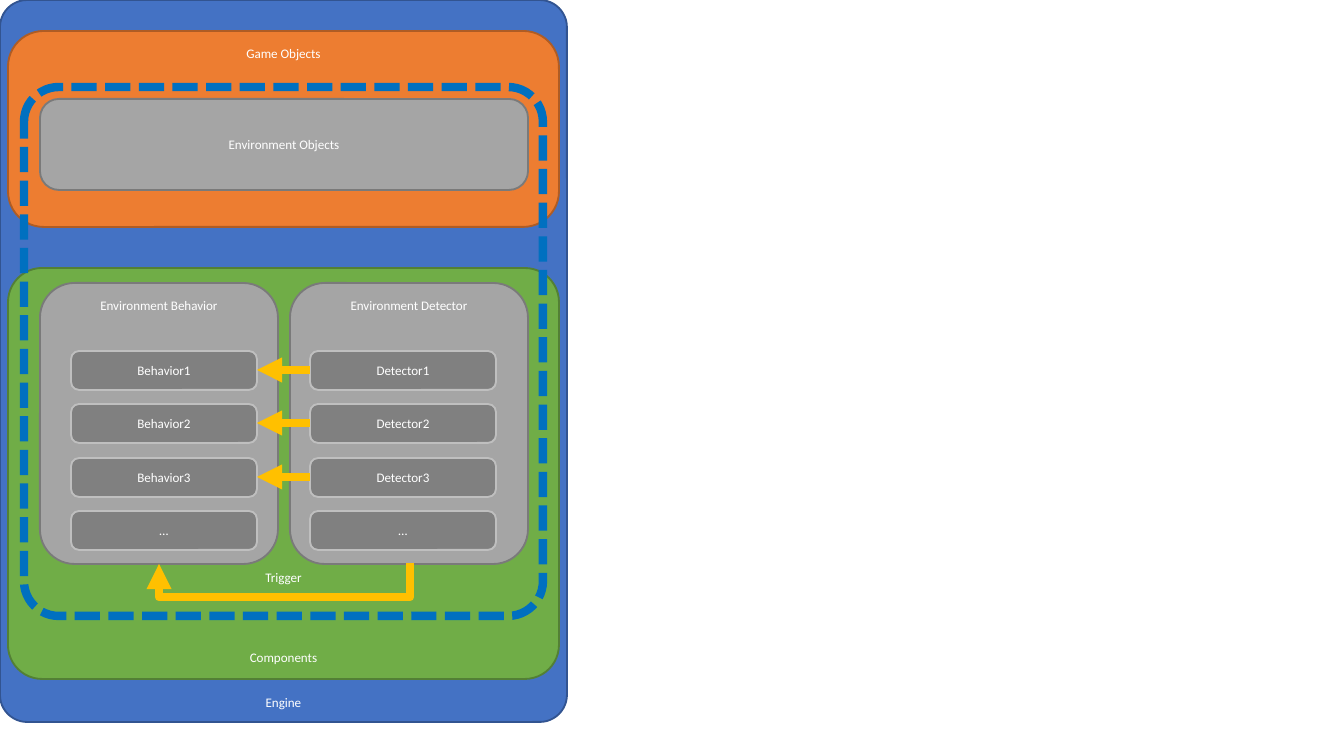
from lxml import etree
from pptx import Presentation
from pptx.dml.color import RGBColor
from pptx.enum.dml import MSO_LINE
from pptx.enum.shapes import MSO_CONNECTOR, MSO_SHAPE
from pptx.enum.text import MSO_ANCHOR, PP_ALIGN
from pptx.oxml.ns import qn
from pptx.util import Pt

EMU_PER_PX = 914400 / 134.4
WHITE = RGBColor(0xFF, 0xFF, 0xFF)
BLUE, BLUE_EDGE = RGBColor(0x44, 0x72, 0xC4), RGBColor(0x32, 0x54, 0x91)
ORANGE, ORANGE_EDGE = RGBColor(0xED, 0x7D, 0x31), RGBColor(0xAF, 0x5C, 0x24)
GREEN, GREEN_EDGE = RGBColor(0x70, 0xAD, 0x47), RGBColor(0x53, 0x80, 0x35)
GRAY, GRAY_EDGE = RGBColor(0xA5, 0xA5, 0xA5), RGBColor(0x7A, 0x7A, 0x7A)
DARK, DARK_EDGE = RGBColor(0x80, 0x80, 0x80), RGBColor(0xBF, 0xBF, 0xBF)
AMBER = RGBColor(0xFF, 0xC0, 0x00)
DASH_BLUE = RGBColor(0x00, 0x70, 0xC0)
ITEM_W, ITEM_H, ITEM_TOP, ITEM_COUNT = 186, 39, 68, 4


def px(value):
    """Turn picture pixels into EMU."""
    return round(value * EMU_PER_PX)


def write(shape, text, anchor):
    """Put one centred white line of text in a shape."""
    frame = shape.text_frame
    frame.word_wrap = True
    frame.vertical_anchor = anchor
    paragraph = frame.paragraphs[0]
    paragraph.alignment = PP_ALIGN.CENTER
    run = paragraph.add_run()
    run.text = text
    run.font.size = Pt(7)
    run.font.name = "Calibri"
    run.font.color.rgb = WHITE


def rounded(slide, box, radius, edge, weight=1):
    """Add an unfilled rounded rectangle."""
    shape = slide.shapes.add_shape(MSO_SHAPE.ROUNDED_RECTANGLE, *map(px, box))
    shape.adjustments[0] = radius
    shape.shadow.inherit = False
    shape.fill.background()
    shape.line.color.rgb = edge
    shape.line.width = Pt(weight)
    return shape


def block(slide, box, radius, colors, text, anchor=MSO_ANCHOR.MIDDLE):
    """Add a filled rounded rectangle with a label."""
    fill, edge = colors
    shape = rounded(slide, box, radius, edge)
    shape.fill.solid()
    shape.fill.fore_color.rgb = fill
    frame = shape.text_frame
    frame.margin_left = frame.margin_right = px(8)
    frame.margin_top = frame.margin_bottom = px(4)
    write(shape, text, anchor)


def arrow(slide, kind, start, end):
    """Add a thick amber connector with an arrowhead at its end."""
    connector = slide.shapes.add_connector(kind, *map(px, (*start, *end)))
    connector.line.color.rgb = AMBER
    connector.line.width = Pt(4.5)
    line = connector.line._get_or_add_ln()
    etree.SubElement(line, qn("a:tailEnd"), type="triangle")
    etree.SubElement(connector._element.spPr, qn("a:effectLst"))
    return connector


def item_top(index):
    """Give the top of an item relative to its panel."""
    return ITEM_TOP + index * 107 // 2


def panel(slide, box, inset, title, item_name):
    """Add a grey panel with its column of items."""
    left, top, _, _ = box
    block(slide, box, 0.146, (GRAY, GRAY_EDGE), title, MSO_ANCHOR.TOP)
    for index in range(ITEM_COUNT):
        text = f"{item_name}{index + 1}" if index < ITEM_COUNT - 1 else "…"
        item = (left + inset, top + item_top(index), ITEM_W, ITEM_H)
        block(slide, item, 0.208, (DARK, DARK_EDGE), text)


def trigger(slide, box):
    """Add the bent arrow running under the panels, and its label."""
    left, top, width, drop = box
    middle = left + width // 2
    bent = arrow(slide, MSO_CONNECTOR.ELBOW, (middle, top - width // 2),
                 (middle + 1, top - width // 2 + width))
    bent._element.spPr.find(qn("a:xfrm")).set("rot", "5400000")
    guides = bent._element.spPr.find(qn("a:prstGeom")).find(qn("a:avLst"))
    etree.SubElement(guides, qn("a:gd"), name="adj1", fmla=f"val {drop * 100000}")
    label = slide.shapes.add_textbox(*map(px, (middle - 57, top, 113, 30)))
    write(label, "Trigger", MSO_ANCHOR.TOP)


def architecture(slide, box):
    """Draw the whole layered diagram inside a box."""
    x, y, width, height = box
    inner_w = width - 16
    block(slide, box, 0.048, (BLUE, BLUE_EDGE), "Engine", MSO_ANCHOR.BOTTOM)
    block(slide, (x + 8, y + 31, inner_w, 196), 0.182,
          (ORANGE, ORANGE_EDGE), "Game Objects", MSO_ANCHOR.TOP)
    block(slide, (x + 8, y + 268, inner_w, 411), 0.083,
          (GREEN, GREEN_EDGE), "Components", MSO_ANCHOR.BOTTOM)
    block(slide, (x + 40, y + 99, 488, 91), 0.208,
          (GRAY, GRAY_EDGE), "Environment Objects")
    panel_top = y + 283
    panel(slide, (x + 40, panel_top, 238, 281), 31, "Environment Behavior", "Behavior")
    panel(slide, (x + 290, panel_top, 238, 281), 20, "Environment Detector", "Detector")
    trigger(slide, (x + 159, y + 563, 251, 34))
    for index in range(ITEM_COUNT - 1):
        level = panel_top + item_top(index) + ITEM_H // 2
        arrow(slide, MSO_CONNECTOR.STRAIGHT, (x + 310, level), (x + 257, level))
    frame = rounded(slide, (x + 24, y + 87, 519, 529), 0.067, DASH_BLUE, 4.5)
    frame.line.dash_style = MSO_LINE.SQUARE_DOT


def main():
    """Build and save the slide."""
    deck = Presentation()
    deck.slide_width, deck.slide_height = px(1344), px(756)
    slide = deck.slides.add_slide(deck.slide_layouts[6])
    architecture(slide, (0, 0, 567, 722))
    deck.save("out.pptx")


main()
